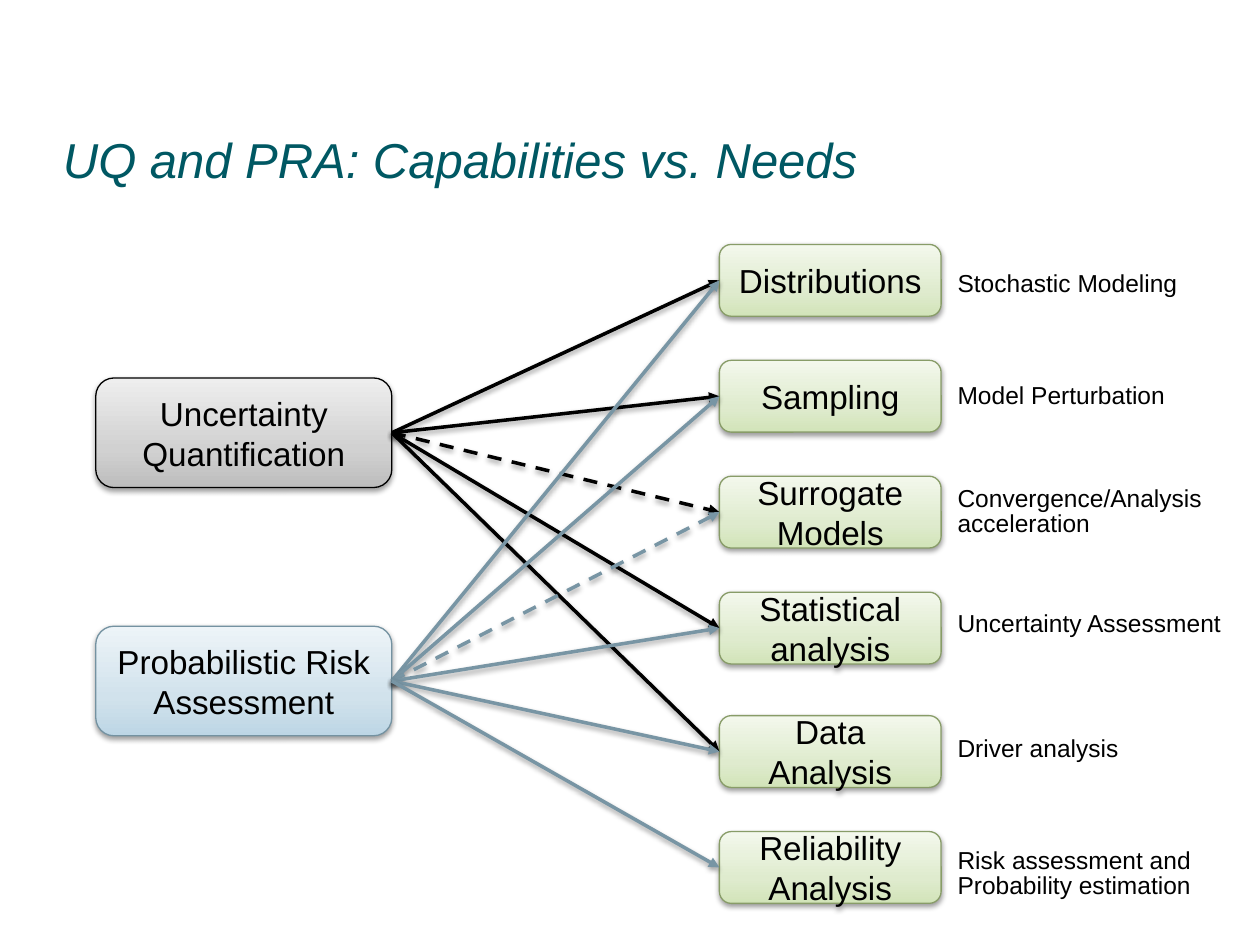
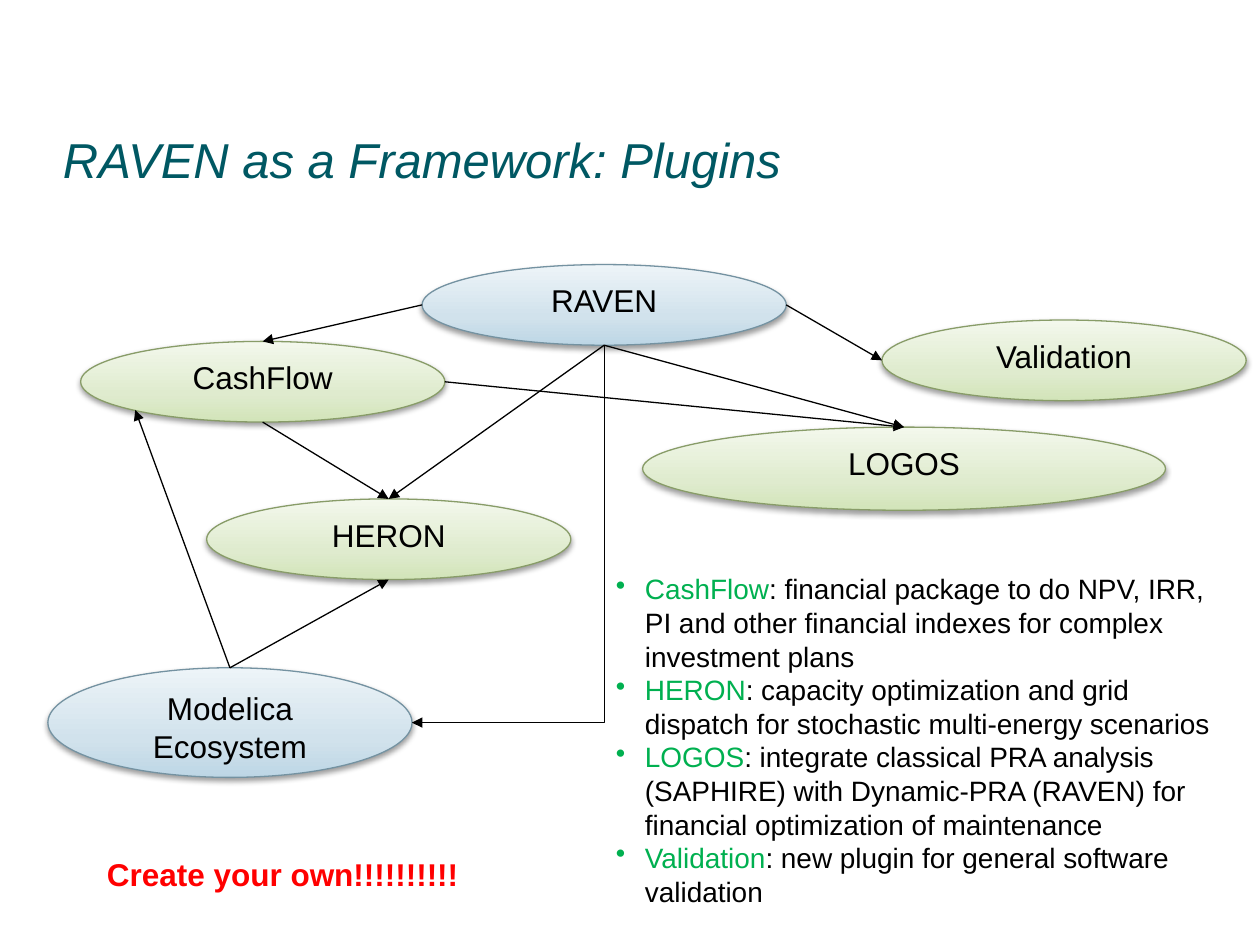
from copy import deepcopy
from dataclasses import dataclass
from lxml import etree
from pptx import Presentation, util as u
from pptx.dml.color import RGBColor
from pptx.enum import dml, shapes, text
from pptx.oxml import ns


@dataclass(frozen=True)
class Theme:
    font: str = "Arial"
    ink: str = "000000"
    teal: str = "005863"
    steel: str = "7895A4"
    key: str = "00B050"
    alert: str = "FF0000"
    head: int = 28
    box: int = 19
    oval: int = 18
    body: int = 16
    note: int = 14
    thin: float = 0.75
    bold: float = 2


T = Theme()
STOPS = (0, 0.35, 1)
TINTS = {
    "green": (("D2E4B9", "DFEBCE", "F3F8EC"), "889C68"),
    "grey": (("BDBDBD", "D1D1D1", "EEEEEE"), "000000"),
    "blue": (("BDD6E5", "D1E2EC", "EDF4F8"), "7492A1"),
}

NEEDS = "UQ and PRA: Capabilities vs. Needs"
TOOLS = [
    ("Distributions", "Stochastic Modeling", 2.16),
    ("Sampling", "Model Perturbation", 3.05),
    ("Surrogate Models", "Convergence/Analysis acceleration", 3.87),
    ("Statistical analysis", "Uncertainty Assessment", 4.86),
    ("Data Analysis", "Driver analysis", 5.85),
    ("Reliability Analysis", "Risk assessment and Probability estimation", 6.74),
]
DASHED = "Surrogate Models"
FIELDS = [
    ("Uncertainty Quantification", 3, "grey", T.ink, 5),
    ("Probabilistic Risk Assessment", 4.97, "blue", T.steel, 6),
]

PLUGINS = "RAVEN as a Framework: Plugins"
OVALS = {
    "RAVEN": (3.35, 2.1, 2.89, 0.64, "blue"),
    "CashFlow": (0.64, 2.71, 2.89, 0.64, "green"),
    "HERON": (1.64, 3.96, 2.89, 0.64, "green"),
    "Modelica Ecosystem": (0.38, 5.3, 2.89, 0.87, "blue"),
    "LOGOS": (5.1, 3.39, 4.15, 0.66, "green"),
    "Validation": (7, 2.54, 2.89, 0.64, "green"),
}
SIDES = {"top": (0.5, 0), "left": (0, 0.5), "foot": (0.5, 1),
         "right": (1, 0.5), "corner": (0.15, 0.85)}
LINKS = [
    ("RAVEN", "left", "CashFlow", "top"),
    ("RAVEN", "foot", "HERON", "top"),
    ("CashFlow", "foot", "HERON", "top"),
    ("RAVEN", "foot", "LOGOS", "top"),
    ("CashFlow", "right", "LOGOS", "top"),
    ("Modelica Ecosystem", "top", "CashFlow", "corner"),
    ("Modelica Ecosystem", "top", "HERON", "foot"),
    ("RAVEN", "right", "Validation", "left"),
]
BEND = ("RAVEN", "foot", "Modelica Ecosystem", "right")
FACTS = [
    ("CashFlow", ": financial package to do NPV, IRR, PI and other financial "
                 "indexes for complex investment plans"),
    ("HERON", ": capacity optimization and grid dispatch for stochastic "
              "multi-energy scenarios"),
    ("LOGOS", ": integrate classical PRA analysis (SAPHIRE) with Dynamic-PRA "
              "(RAVEN) for financial optimization of maintenance"),
    ("Validation", ": new plugin for general software validation"),
]
CALL = "Create your own!!!!!!!!!!"


def rgb(code):
    return RGBColor.from_string(code)


def sub(node, tag, **attrs):
    return etree.SubElement(node, ns.qn("a:" + tag), attrs)


def shade(node):
    drop = sub(node, "outerShdw", blurRad="40000", dist="20000",
               dir="5400000", rotWithShape="0")
    sub(sub(drop, "srgbClr", val="000000"), "alpha", val="38000")


def say(shape, paras, size, color=T.ink, bold=False, italic=False, align=None,
        anchor=text.MSO_ANCHOR.TOP, inset=None, lead=None, dot=False,
        wrap=True, grow=False):
    frame = shape.text_frame
    frame.word_wrap = wrap
    frame.vertical_anchor = anchor
    if grow:
        frame.auto_size = text.MSO_AUTO_SIZE.SHAPE_TO_FIT_TEXT
    if inset:
        frame.margin_left = frame.margin_right = u.Inches(inset[0])
        frame.margin_top = frame.margin_bottom = u.Inches(inset[1])
    if isinstance(paras, str):
        paras = [[(paras, color)]]
    for i, runs in enumerate(paras):
        para = frame.add_paragraph() if i else frame.paragraphs[0]
        if dot:
            props = para._p.get_or_add_pPr()
            props.set("marL", str(u.Inches(0.23)))
            props.set("indent", str(-u.Inches(0.23)))
            sub(props, "buChar", char="•")
        para.alignment = align
        if lead:
            para.line_spacing = lead
        for words, hue in runs:
            run = para.add_run()
            run.text = words
            font = run.font
            font.name, font.size = T.font, u.Pt(size)
            font.bold, font.italic = bold, italic
            font.color.rgb = rgb(hue)


def label(slide, place, paras, size, **fmt):
    say(slide.shapes.add_textbox(*map(u.Inches, place)), paras, size, **fmt)


def title(slide, words):
    label(slide, (0.5, 1.1, 9, 0.41), words, T.head, color=T.teal,
          italic=True, inset=(0, 0), lead=0.85, grow=True)


def node(slide, kind, place, tint, words, size, **fmt):
    shape = slide.shapes.add_shape(kind, *map(u.Inches, place))
    hues, edge = TINTS[tint]
    shape.fill.gradient()
    shape.fill.gradient_angle = 90
    props = shape._element.spPr
    stops = props.find(".//" + ns.qn("a:gsLst"))
    stops.insert(1, deepcopy(stops[0]))
    for stop, spot, hue in zip(shape.fill.gradient_stops, STOPS, hues):
        stop.position = spot
        stop.color.rgb = rgb(hue)
    shape.line.color.rgb = rgb(edge)
    shape.line.width = u.Pt(T.thin)
    shape.shadow.inherit = False
    shade(props.find(ns.qn("a:effectLst")))
    say(shape, words, size, align=text.PP_ALIGN.CENTER, **fmt)
    return shape


def arrow(slide, start, end, color=T.ink, width=T.thin, dash=False,
          shadow=False, kind=shapes.MSO_CONNECTOR.STRAIGHT):
    wire = slide.shapes.add_connector(kind, *map(u.Inches, (*start, *end)))
    wire.line.color.rgb = rgb(color)
    wire.line.width = u.Pt(width)
    if dash:
        wire.line.dash_style = dml.MSO_LINE.DASH
    props = wire._element.spPr
    sub(props.find(ns.qn("a:ln")), "tailEnd", type="triangle")
    effect = sub(props, "effectLst")
    if shadow:
        shade(effect)
    return wire


def bend(slide, start, end):
    (ax, ay), (bx, by) = start, end
    mx, my = (ax + bx) / 2, (ay + by) / 2
    dx, dy = abs(by - ay) / 2, abs(bx - ax) / 2
    wire = arrow(slide, (mx - dx, my - dy), (mx + dx, my + dy),
                 kind=shapes.MSO_CONNECTOR.ELBOW)
    props = wire._element.spPr
    props.find(ns.qn("a:xfrm")).set("rot", "5400000")
    props.find(ns.qn("a:prstGeom")).set("prst", "bentConnector2")


def port(name, side):
    x, y, w, h, _ = OVALS[name]
    fx, fy = SIDES[side]
    return x + w * fx, y + h * fy


def needs(slide):
    form = shapes.MSO_SHAPE.ROUNDED_RECTANGLE
    mid = text.MSO_ANCHOR.MIDDLE
    tools = []
    for i, (name, _, _) in enumerate(TOOLS):
        top = 1.94 + 0.92 * i + (0.06 if i > 3 else 0)
        tools.append(node(slide, form, (5.71, top, 1.76, 0.57), "green",
                          name, T.box, anchor=mid))
    fields = [node(slide, form, (0.76, top, 2.35, 0.87), tint, name, T.box,
                   anchor=mid)
              for name, top, tint, _, _ in FIELDS]
    for field, (_, _, _, color, count) in zip(fields, FIELDS):
        for tool, (name, _, _) in list(zip(tools, TOOLS))[:count]:
            wire = arrow(slide, (0, 0), (1, 1), color, T.bold,
                         dash=name == DASHED, shadow=True)
            wire.begin_connect(field, 3)
            wire.end_connect(tool, 1)
    title(slide, NEEDS)
    for _, note, top in TOOLS:
        label(slide, (7.6, top, 2.26, 0.25), note, T.note, inset=(0, 0),
              lead=0.85)


def plugins(slide):
    title(slide, PLUGINS)
    for name, (*place, tint) in OVALS.items():
        node(slide, shapes.MSO_SHAPE.OVAL, place, tint, name, T.oval,
             inset=(0.07, 0.04))
    for a, out, b, into in LINKS:
        arrow(slide, port(a, out), port(b, into))
    bend(slide, port(*BEND[:2]), port(*BEND[2:]))
    facts = [[(name, T.key), (rest, T.ink)] for name, rest in FACTS]
    label(slide, (4.79, 4.49, 5.09, 2.79), facts, T.body, dot=True, grow=True)
    label(slide, (0.75, 6.74, 3.02, 0.4), CALL, T.oval, color=T.alert,
          bold=True, wrap=False, grow=True)


def main():
    deck = Presentation()
    deck.slide_width, deck.slide_height = u.Inches(10), u.Inches(7.5)
    for draw in (needs, plugins):
        draw(deck.slides.add_slide(deck.slide_layouts[6]))
    deck.save("out.pptx")


if __name__ == "__main__":
    main()
